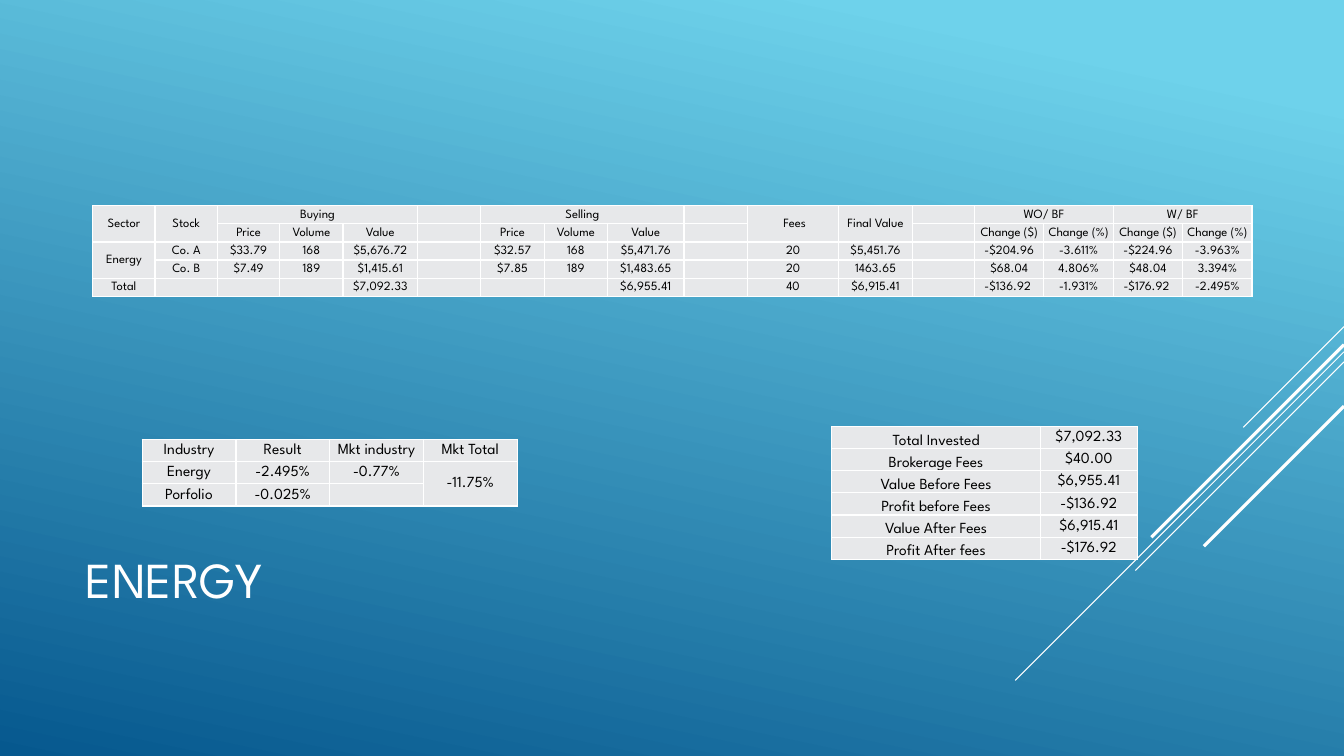
from lxml import etree
from pptx import Presentation
from pptx.dml.color import RGBColor
from pptx.enum.shapes import MSO_CONNECTOR
from pptx.enum.text import MSO_ANCHOR, PP_ALIGN
from pptx.oxml.ns import qn
from pptx.util import Inches, Pt

STRAIGHT = MSO_CONNECTOR.STRAIGHT
MIDDLE, BOTTOM = MSO_ANCHOR.MIDDLE, MSO_ANCHOR.BOTTOM
LEFT, CENTER = PP_ALIGN.LEFT, PP_ALIGN.CENTER
WHITE = RGBColor(0xFF, 0xFF, 0xFF)
BLACK = RGBColor(0x00, 0x00, 0x00)
CELL_GREY = RGBColor(0xE7, 0xE8, 0xEA)
SKY = RGBColor(0x6E, 0xD2, 0xEB)
NAVY = RGBColor(0x06, 0x58, 0x8E)
FONT = "League Spartan"
SLIDE_W, SLIDE_H = 13.33, 7.5

TITLE = "ENERGY"
TRADES = [
    ["Sector", "Stock", "Buying", "", "", "", "Selling", "", "", "", " Fees", "Final Value", "",
     "WO/ BF", "", "W/ BF", ""],
    ["", "", "Price", "Volume", "Value", "", "Price", "Volume", "Value", "", "", "", "",
     "Change ($)", "Change (%)", "Change ($)", "Change (%)"],
    ["Energy", "Co. A", "$33.79", "168", "$5,676.72", "", " $32.57 ", "168", "$5,471.76", "", "20",
     "$5,451.76", "", "-$204.96", "-3.611%", "-$224.96", "-3.963%"],
    ["", "Co. B", "$7.49", "189", "$1,415.61", "", " $7.85 ", "189", "$1,483.65", "", "20",
     "1463.65", "", "$68.04", "4.806%", "$48.04", "3.394%"],
    ["Total", "", "", "", "$7,092.33", "", "", "", "$6,955.41", "", "40", "$6,915.41", "",
     "-$136.92 ", "-1.931%", "-$176.92 ", "-2.495%"],
]
RESULTS = [
    ["Industry", "Result", "Mkt industry", "Mkt Total"],
    ["Energy", "-2.495%", "-0.77%", "-11.75%"],
    ["Porfolio", "-0.025%", "", ""],
]
SUMMARY = [
    ["Total Invested", "$7,092.33"],
    ["Brokerage Fees", "$40.00"],
    ["Value Before Fees", "$6,955.41"],
    ["Profit before Fees", "-$136.92"],
    ["Value After Fees", "$6,915.41"],
    ["Profit After fees", "-$176.92"],
]
TRADE_COLS = [0.62] * 3 + [0.63, 0.74] + [0.63] * 3 + [0.76, 0.63, 0.91, 0.73, 0.62] + [0.69] * 4
TRADE_MERGES = [(0, 0, 1, 0), (0, 1, 1, 1), (0, 2, 0, 4), (0, 6, 0, 8), (0, 10, 1, 10),
                (0, 11, 1, 11), (0, 13, 0, 14), (0, 15, 0, 16), (2, 0, 3, 0)]

# data, left, top, width, row height, column shares, size, first column anchor, merges
TABLES = [
    (TRADES, 0.92, 2.04, 11.5, 0.18, TRADE_COLS, 9, MIDDLE, TRADE_MERGES),
    (RESULTS, 1.41, 4.36, 3.72, 0.22, [1] * 4, 11, MIDDLE, [(1, 3, 2, 3)]),
    (SUMMARY, 8.25, 4.23, 3.03, 0.22, [2.07, 0.96], 11, BOTTOM, []),
]
DIAGONALS = [(3.24, 1.0, 0.75), (3.49, 3.26, 0.75), (3.59, 2.07, 0.75),
             (3.42, 1.91, 2.25), (4.03, 1.39, 2.25)]


def style_font(font, size, color):
    font.name, font.size = FONT, Pt(size)
    font.color.rgb = color


def add_borders(cell):
    tcPr = cell._tc.get_or_add_tcPr()
    for side in ("a:lnL", "a:lnR", "a:lnT", "a:lnB"):
        ln = etree.SubElement(tcPr, qn(side), w=str(Pt(1)))
        fill = etree.SubElement(ln, qn("a:solidFill"))
        etree.SubElement(fill, qn("a:srgbClr"), val=str(WHITE))


def style_cell(cell, text, size, anchor):
    add_borders(cell)
    cell.fill.solid()
    cell.fill.fore_color.rgb = CELL_GREY
    cell.margin_left = cell.margin_right = cell.margin_top = Inches(0.01)
    cell.margin_bottom = 0
    cell.vertical_anchor = anchor
    p = cell.text_frame.paragraphs[0]
    p.alignment = CENTER
    if text:
        p.text = text
        style_font(p.runs[0].font, size, BLACK)
    else:
        etree.SubElement(p._p, qn("a:endParaRPr"), sz=str(size * 100))


def add_grid(s, data, left, top, width, row_h, shares, size, first_anchor, merges):
    frame = s.shapes.add_table(len(data), len(shares), Inches(left), Inches(top),
                               Inches(width), Inches(row_h * len(data)))
    table = frame.table
    for col, share in zip(table.columns, shares):
        col.width = Inches(width * share / sum(shares))
    for i, row in enumerate(data):
        for j, text in enumerate(row):
            style_cell(table.cell(i, j), text, size, MIDDLE if j else first_anchor)
    for r1, c1, r2, c2 in merges:
        table.cell(r1, c1).merge(table.cell(r2, c2))


def add_diagonal(s, top, run, weight):
    line = s.shapes.add_connector(STRAIGHT, Inches(SLIDE_W), Inches(top),
                                  Inches(SLIDE_W - run), Inches(top + run))
    line.line.color.rgb = WHITE
    line.line.width = Pt(weight)
    etree.SubElement(line._element.spPr, qn("a:effectLst"))


def main():
    prs = Presentation()
    prs.slide_width, prs.slide_height = Inches(SLIDE_W), Inches(SLIDE_H)
    s = prs.slides.add_slide(prs.slide_layouts[5])

    fill = s.background.fill
    fill.gradient()
    fill.gradient_angle = 258
    for stop, (position, color) in zip(fill.gradient_stops, [(0.1, SKY), (1, NAVY)]):
        stop.position = position
        stop.color.rgb = color

    for diagonal in DIAGONALS:
        add_diagonal(s, *diagonal)

    title = s.shapes.title
    title.left, title.top = Inches(0.75), Inches(4.91)
    title.width, title.height = Inches(9.33), Inches(1.65)
    tf = title.text_frame
    tf.text = TITLE
    tf.vertical_anchor = MIDDLE
    p = tf.paragraphs[0]
    p.alignment = LEFT
    style_font(p.runs[0].font, 36, WHITE)

    for table in TABLES:
        add_grid(s, *table)
    prs.save("out.pptx")


if __name__ == "__main__":
    main()
